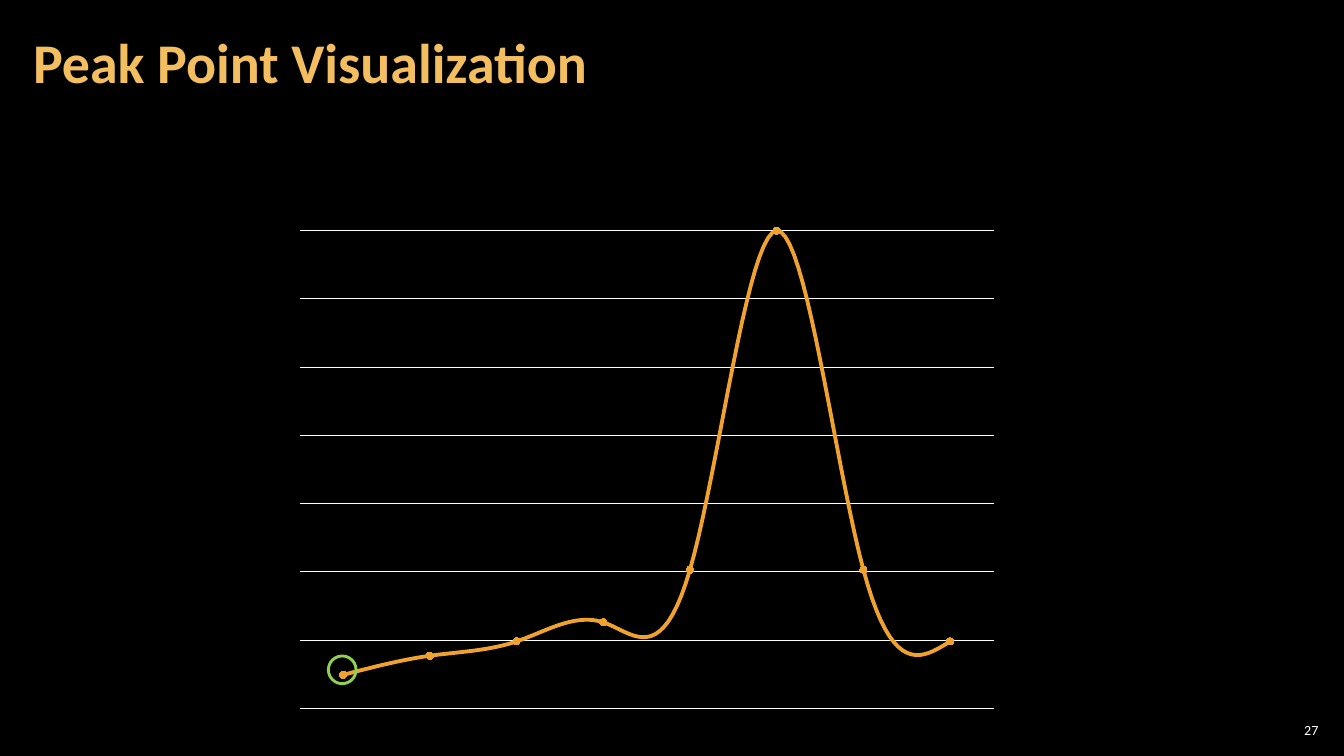
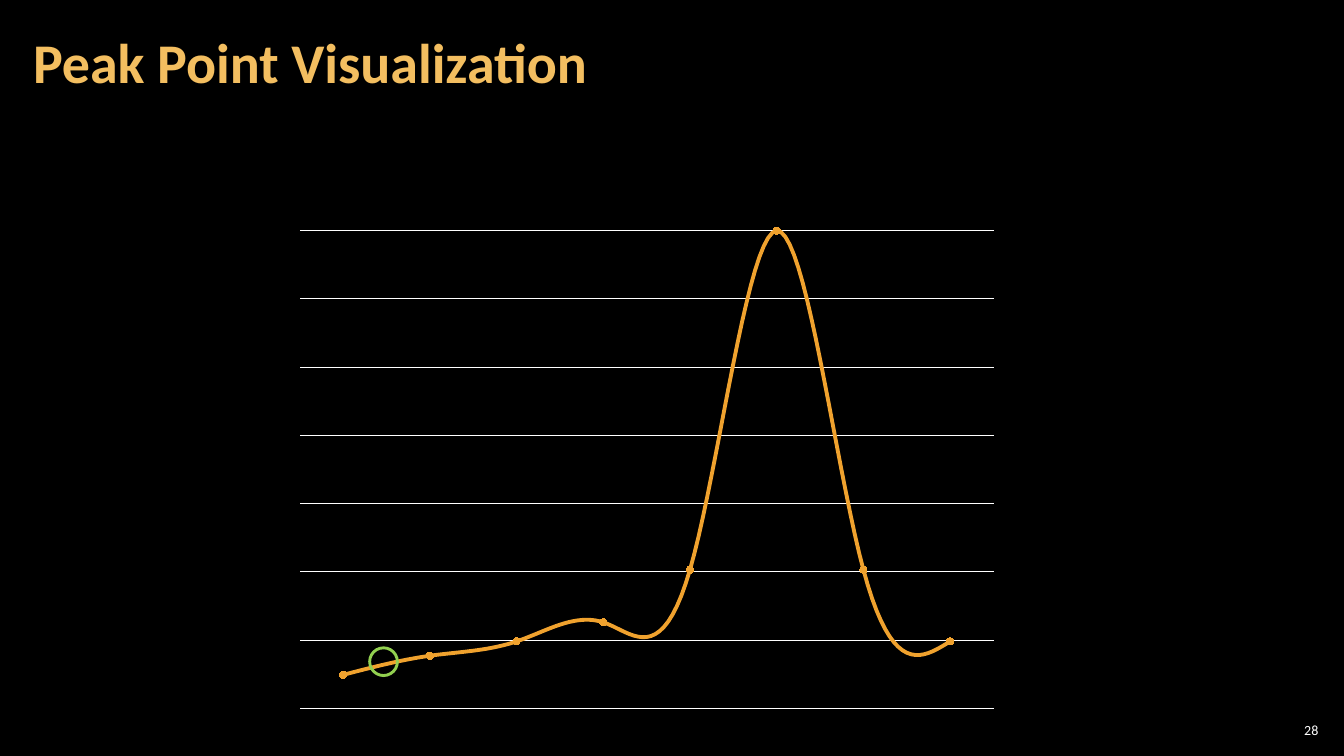
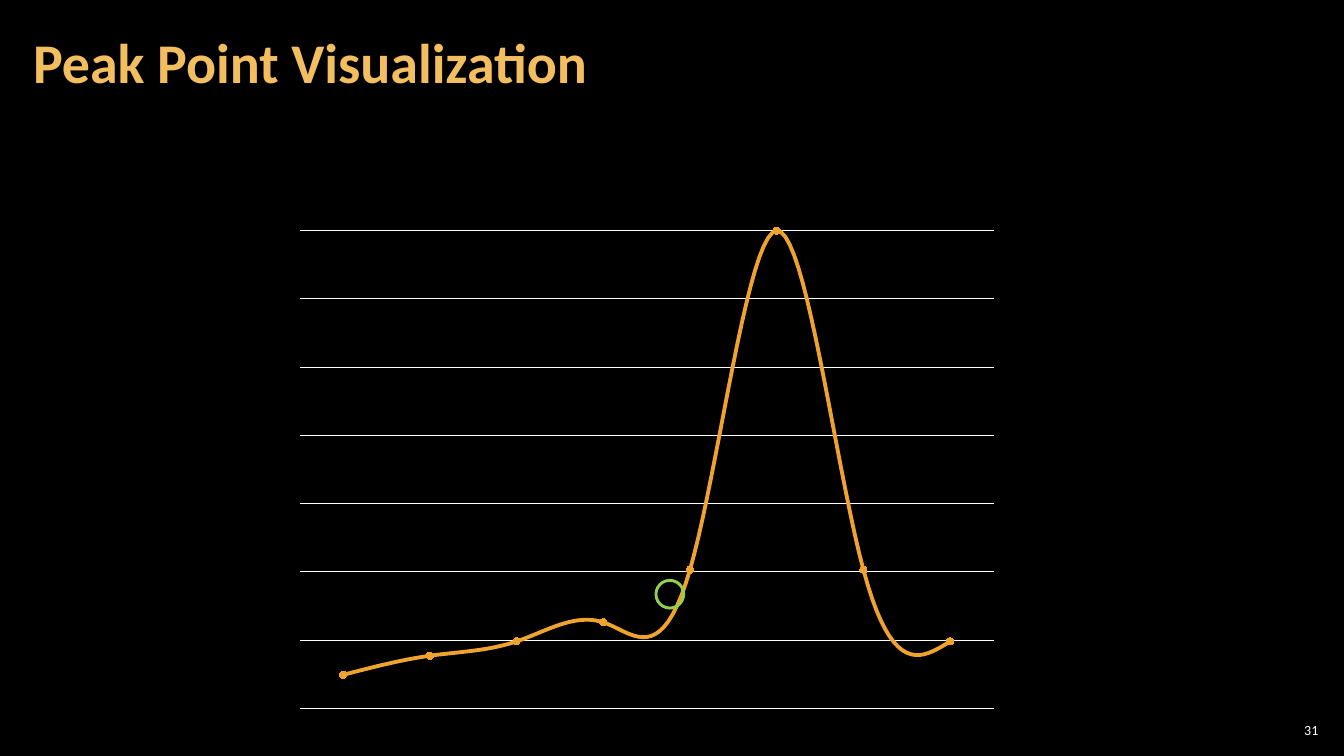
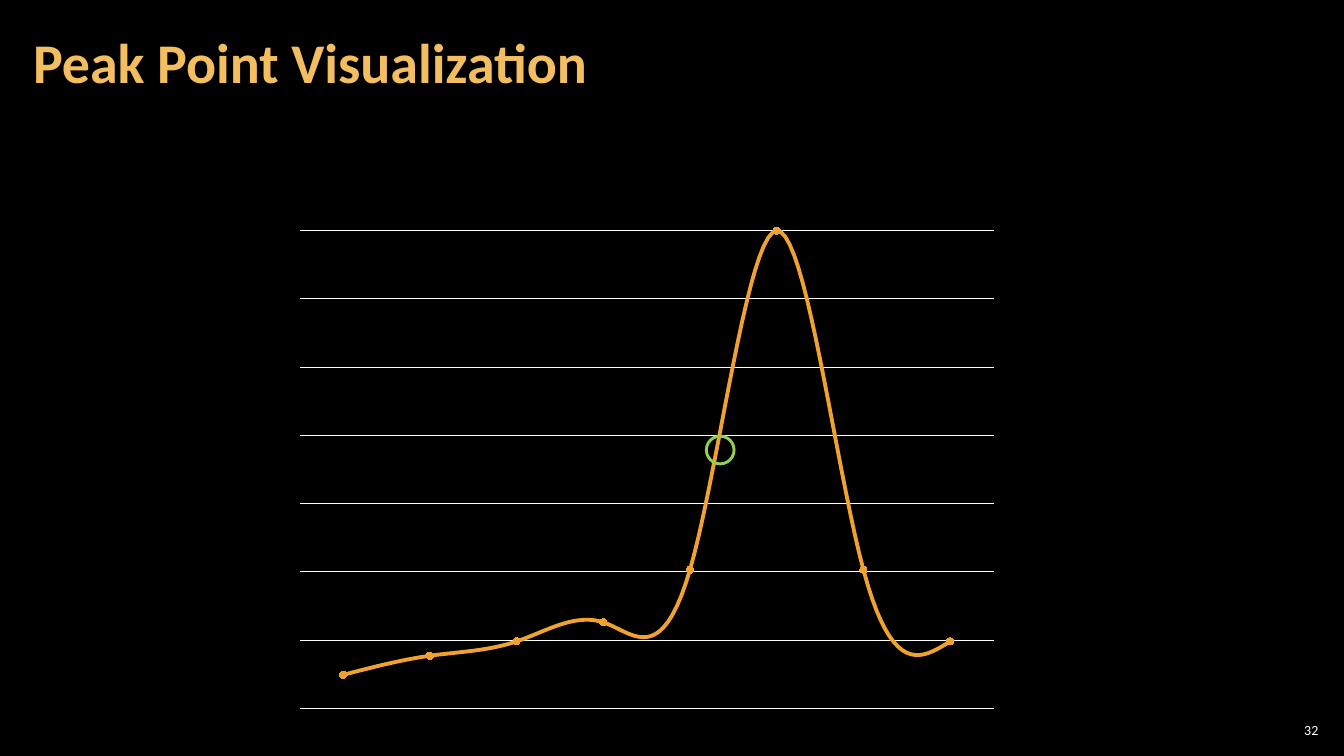
from collections import namedtuple
from dataclasses import dataclass

from pptx import Presentation
from pptx.chart.data import CategoryChartData
from pptx.dml.color import RGBColor
from pptx.enum.chart import XL_CHART_TYPE, XL_MARKER_STYLE
from pptx.enum.shapes import MSO_SHAPE
from pptx.enum.text import MSO_ANCHOR, PP_ALIGN
from pptx.util import Pt

Box = namedtuple("Box", "left top width height")


@dataclass(frozen=True)
class Theme:
    """Colours, font and type sizes shared by every slide."""

    background: RGBColor = RGBColor(0x00, 0x00, 0x00)
    text: RGBColor = RGBColor(0xFF, 0xFF, 0xFF)
    title: RGBColor = RGBColor(0xF3, 0xBE, 0x60)
    curve: RGBColor = RGBColor(0xF0, 0xA2, 0x2E)
    ring: RGBColor = RGBColor(0x92, 0xD0, 0x50)
    font: str = "Calibri"
    title_size: float = 40
    small_size: float = 10


THEME = Theme()
TITLE_BOX = Box(15.1, 2.9, 753.8, 87.1)
NUMBER_BOX = Box(910.8, 514.1, 33.8, 15.1)
CHART_BOX = Box(203.8, 108, 516.2, 406.1)
RING_SIZE = 20.9
CURVE_VALUES = (7, 11, 14, 18, 29, 100, 29, 14)
GRID_STEP = max(CURVE_VALUES) / 7
RING_OFFSETS = {
    27: (30.2, 360),
    28: (59.7, 354.2),
    31: (264.2, 306),
    32: (300.2, 203),
}


def in_points(box):
    """Convert a box of numbers to lengths in points."""
    return [Pt(length) for length in box]


def add_text(page, box, text, *, size, color, bold=False,
             align=PP_ALIGN.LEFT, spacing=1.0, side_inset=2.9):
    """Add one vertically centred paragraph in the given box."""
    frame = page.shapes.add_textbox(*in_points(box)).text_frame
    frame.word_wrap = True
    frame.vertical_anchor = MSO_ANCHOR.MIDDLE
    frame.margin_left = frame.margin_right = Pt(side_inset)
    frame.margin_top = frame.margin_bottom = Pt(2.9)
    para = frame.paragraphs[0]
    para.alignment = align
    para.line_spacing = spacing
    span = para.add_run()
    span.text = text
    span.font.name = THEME.font
    span.font.size = Pt(size)
    span.font.bold = bold
    span.font.color.rgb = color


def add_curve(page, box):
    """Draw the smooth peak curve over plain grid lines."""
    data = CategoryChartData()
    data.categories = ["1", "2", "3", "4", "5"]
    data.add_series("Series 1", CURVE_VALUES)
    chart = page.shapes.add_chart(
        XL_CHART_TYPE.LINE_MARKERS, *in_points(box), data).chart
    chart.has_title = False
    chart.has_legend = False
    chart.font.name = THEME.font
    chart.font.size = Pt(THEME.small_size)
    chart.font.color.rgb = THEME.text
    chart.category_axis.visible = False

    axis = chart.value_axis
    axis.visible = False
    axis.minimum_scale = 0
    axis.maximum_scale = round(8 * GRID_STEP, 2)
    axis.major_unit = round(GRID_STEP, 2)
    axis.has_major_gridlines = True
    grid = axis.major_gridlines.format.line
    grid.color.rgb = THEME.text
    grid.width = Pt(0.75)

    plot = chart.plots[0]
    plot.vary_by_categories = False
    series = plot.series[0]
    series.smooth = True
    series.format.line.color.rgb = THEME.curve
    series.format.line.width = Pt(2.75)
    series.marker.style = XL_MARKER_STYLE.CIRCLE
    series.marker.size = 5
    series.marker.format.fill.solid()
    series.marker.format.fill.fore_color.rgb = THEME.curve
    series.marker.format.line.fill.background()


def add_ring(page, box):
    """Draw the thin ring that travels along the curve."""
    ring = page.shapes.add_shape(MSO_SHAPE.DONUT, *in_points(box))
    ring.adjustments[0] = 0.052
    ring.shadow.inherit = False
    ring.fill.solid()
    ring.fill.fore_color.rgb = THEME.ring
    ring.line.color.rgb = THEME.ring
    ring.line.width = Pt(1)


def add_peak_page(deck, number, ring_offset):
    """Add a slide with the curve and the ring at its offset in the chart."""
    page = deck.slides.add_slide(deck.slide_layouts[6])
    add_text(page, NUMBER_BOX, str(number), size=THEME.small_size,
             color=THEME.text, align=PP_ALIGN.RIGHT)
    add_text(page, TITLE_BOX, "Peak Point Visualization",
             size=THEME.title_size, color=THEME.title, bold=True,
             spacing=0.9, side_inset=8.6)
    add_curve(page, CHART_BOX)
    across, down = ring_offset
    add_ring(page, Box(CHART_BOX.left + across, CHART_BOX.top + down,
                       RING_SIZE, RING_SIZE))


def main():
    """Build and save the deck."""
    deck = Presentation()
    deck.slide_width, deck.slide_height = Pt(960), Pt(540)
    fill = deck.slide_master.background.fill
    fill.solid()
    fill.fore_color.rgb = THEME.background
    for number, ring_offset in RING_OFFSETS.items():
        add_peak_page(deck, number, ring_offset)
    deck.save("out.pptx")


if __name__ == "__main__":
    main()
